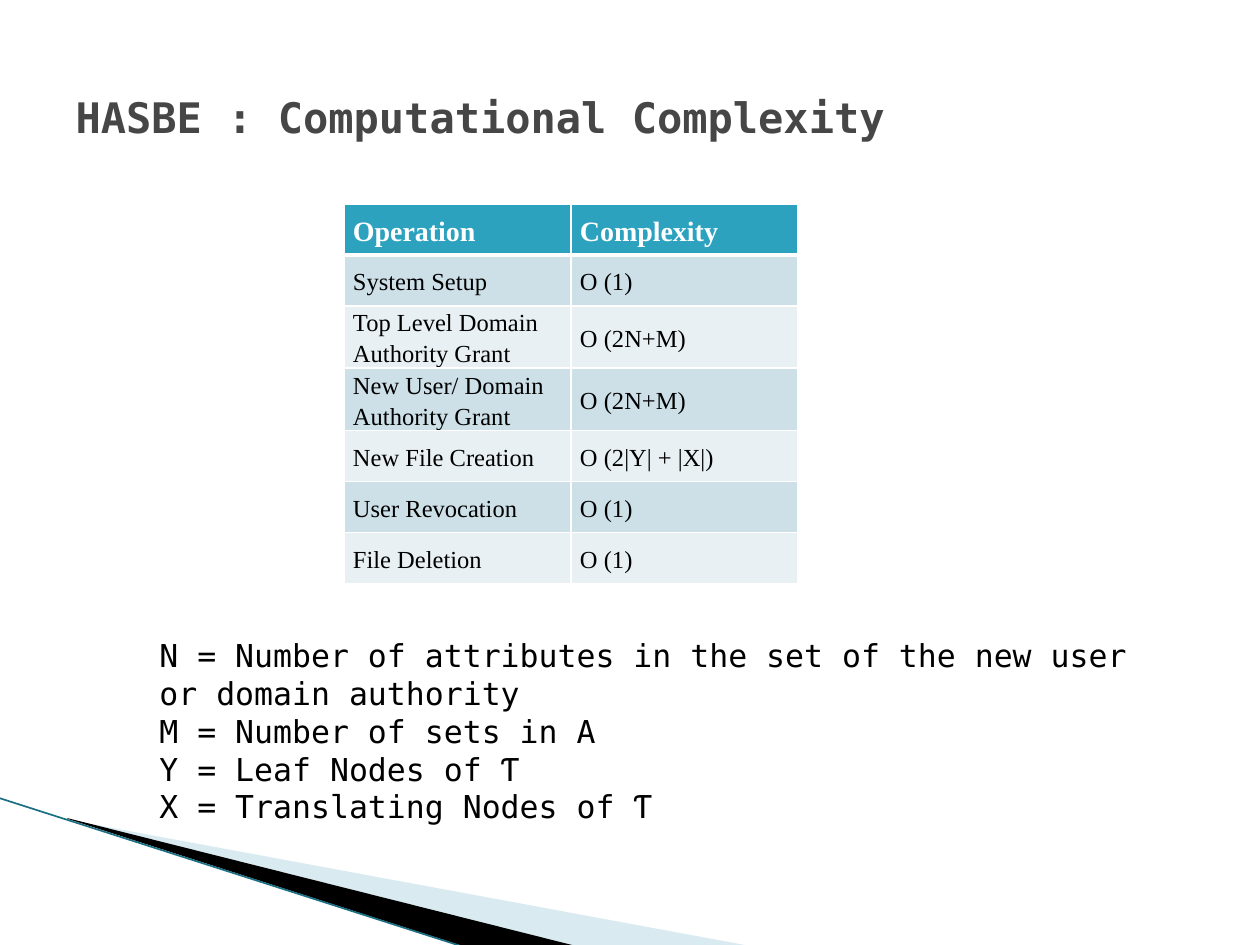
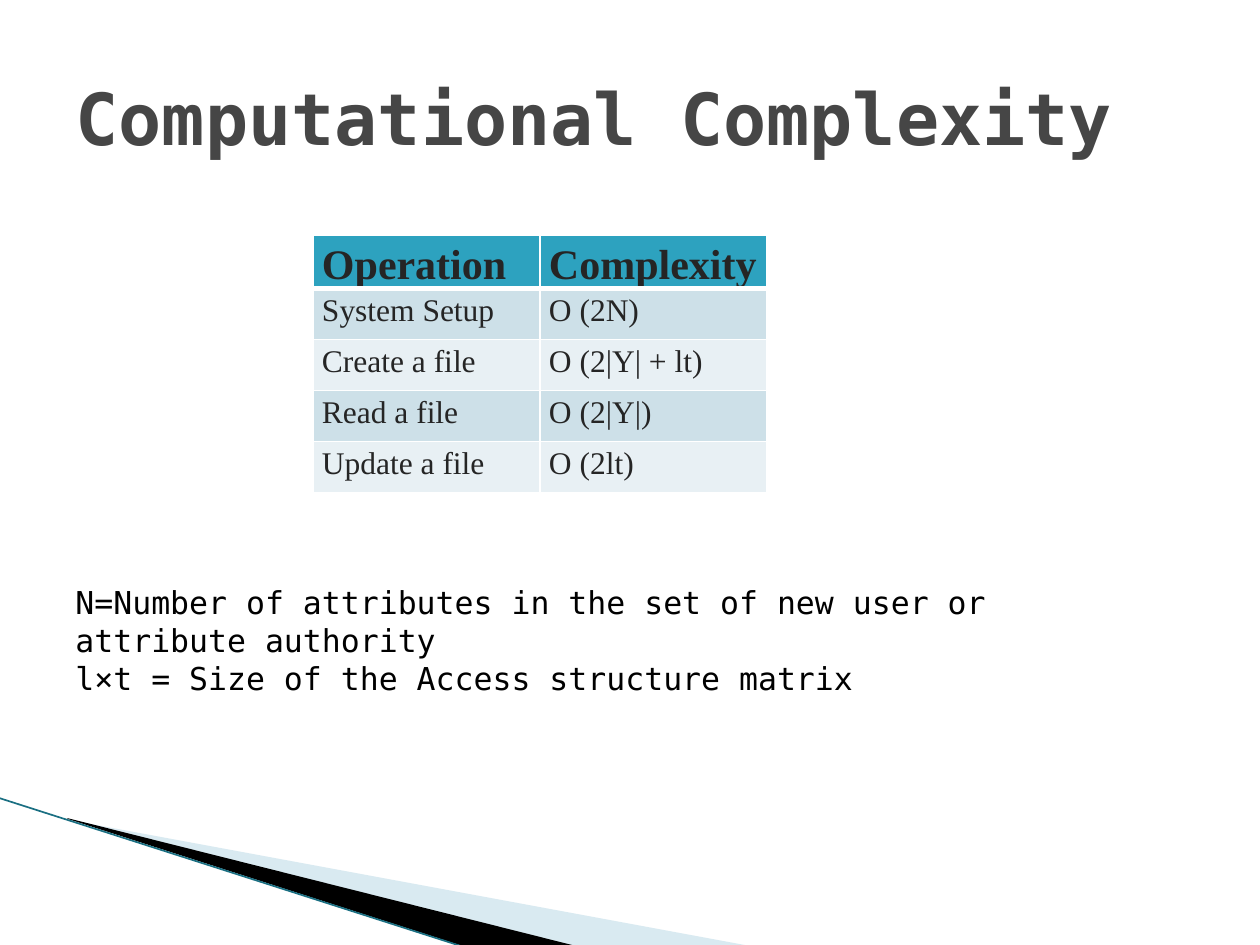
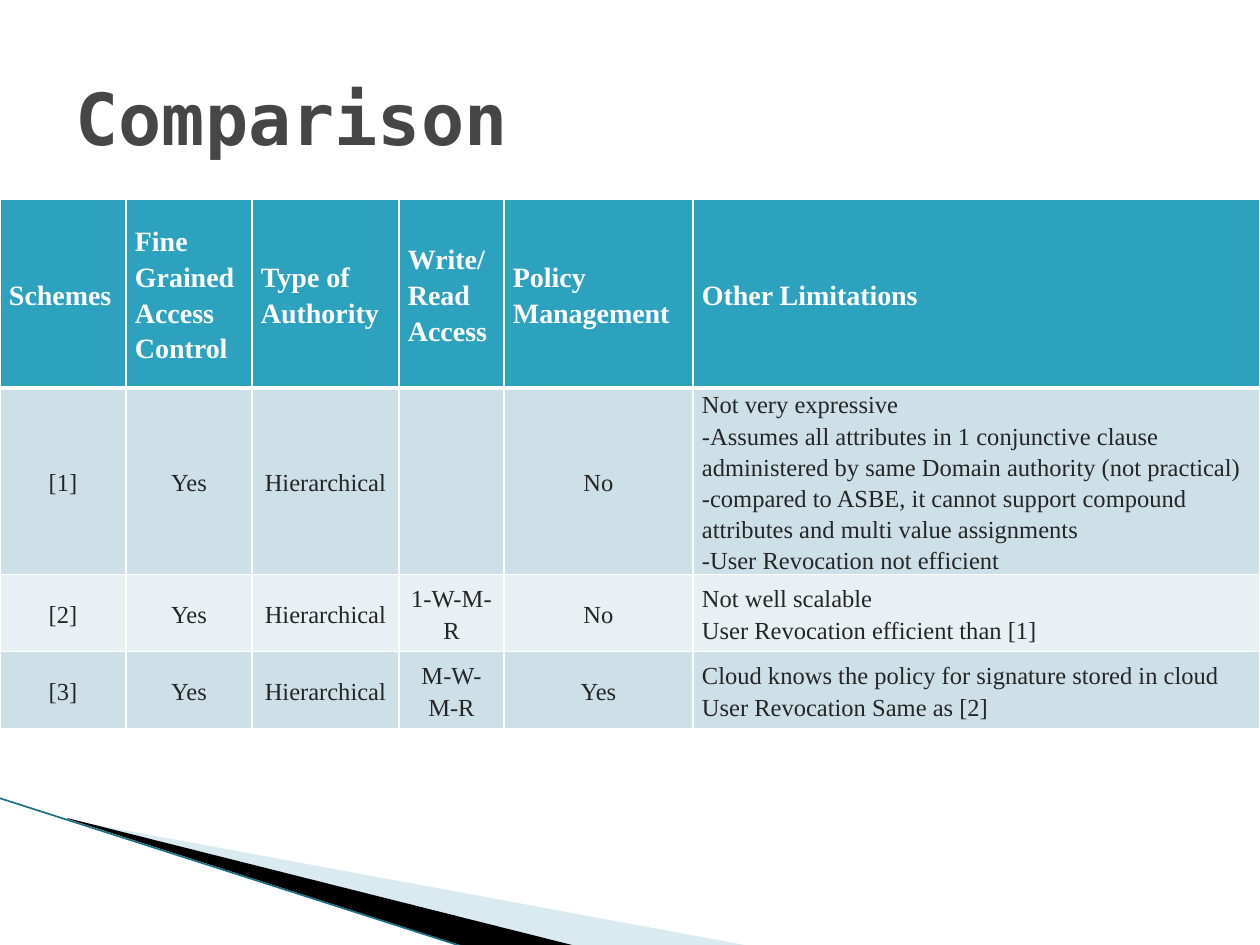
import pptx
import pptx.dml.color
import pptx.enum.shapes
import pptx.enum.text
import pptx.oxml
import pptx.oxml.ns
import pptx.util

SCALE = pptx.util.Inches(1) / 126
MONO = "DejaVu Sans Mono"
SERIF = "Times New Roman"
BLACK = "000000"
WHITE = "FFFFFF"
GREY = "464646"
CHARCOAL = "252525"
TEAL = "2DA2BF"
DARK_TEAL = "1A6F82"
SKY = "A0CBDC"
BANDS = ["CDE0E8", "E8F0F4"]
LEFT = pptx.enum.text.PP_ALIGN.LEFT
CENTER = pptx.enum.text.PP_ALIGN.CENTER
JUSTIFY = pptx.enum.text.PP_ALIGN.JUSTIFY
TOP = pptx.enum.text.MSO_ANCHOR.TOP
MIDDLE = pptx.enum.text.MSO_ANCHOR.MIDDLE


def px(length):
    return pptx.util.Emu(round(length * SCALE))


def color(value):
    return pptx.dml.color.RGBColor.from_string(value)


def add_xml(parent, tag, **attributes):
    return pptx.oxml.ns and parent.makeelement(pptx.oxml.ns.qn(tag), attributes)


class SlideBuilder:
    def __init__(self):
        self.deck = pptx.Presentation()
        self.deck.slide_width = px(1260)
        self.deck.slide_height = px(945)
        self.layout = self.deck.slide_layouts[5]
        self.slide = None

    def start(self, title, size):
        self.slide = self.deck.slides.add_slide(self.layout)
        box = self.slide.shapes.title
        box.left, box.top, box.width, box.height = px(63), px(38), px(1134), px(158)
        frame = box.text_frame
        frame.text = title
        frame.auto_size = pptx.enum.text.MSO_AUTO_SIZE.NONE
        frame.vertical_anchor = MIDDLE
        self.format(frame, MONO, size, GREY, bold=True)

    def format(self, frame, font, size, tint, bold=False, align=LEFT, spacing=None):
        for para in frame.paragraphs:
            para.alignment = align
            para.line_spacing = spacing
            for span in para.runs:
                span.font.name = font
                span.font.size = pptx.util.Pt(size)
                span.font.bold = bold
                span.font.color.rgb = color(tint)

    def share(self, shape):
        self.layout.shapes.element.append(shape.element)

    def wedge(self, points, tint, opacity=100):
        builder = self.slide.shapes.build_freeform(*points[0], scale=SCALE)
        builder.add_line_segments(points[1:])
        shape = builder.convert_to_shape()
        shape.shadow.inherit = False
        shape.fill.solid()
        shape.fill.fore_color.rgb = color(tint)
        shape.line.fill.background()
        if opacity < 100:
            fill = shape.element.spPr.find(pptx.oxml.ns.qn("a:solidFill"))
            fill[0].append(add_xml(fill, "a:alpha", val=str(opacity * 1000)))
        self.share(shape)

    def edge(self, start, end, tint, width):
        line = self.slide.shapes.add_connector(
            pptx.enum.shapes.MSO_CONNECTOR.STRAIGHT, *map(px, start + end))
        line.line.color.rgb = color(tint)
        line.line.width = pptx.util.Pt(width)
        properties = line.element.spPr
        properties.append(add_xml(properties, "a:effectLst"))
        self.share(line)

    def note(self, left, top, width, height, lines):
        box = self.slide.shapes.add_textbox(px(left), px(top), px(width), px(height))
        frame = box.text_frame
        frame.word_wrap = True
        frame.text = "\n".join(lines)
        self.format(frame, MONO, 18, BLACK)

    def border(self, cell, row):
        properties = cell._tc.get_or_add_tcPr()
        heavy = {0: "B", 1: "T"}.get(row)
        for index, side in enumerate("LRTB"):
            width = pptx.util.Pt(3 if side == heavy else 1)
            line = add_xml(properties, "a:ln" + side, w=str(width))
            fill = add_xml(line, "a:solidFill")
            fill.append(add_xml(fill, "a:srgbClr", val=WHITE))
            line.append(fill)
            properties.insert(index, line)

    def table(self, left, top, widths, heights, rows, head, body, aligns, anchor=MIDDLE,
              head_align=LEFT):
        frame = self.slide.shapes.add_table(
            len(rows), len(widths), px(left), px(top), px(sum(widths)), px(sum(heights)))
        table = frame.table
        for column, width in zip(table.columns, widths):
            column.width = px(width)
        for row, height in zip(table.rows, heights):
            row.height = px(height)
        for i, texts in enumerate(rows):
            size, tint = body if i else head
            for j, text in enumerate(texts):
                cell = table.cell(i, j)
                cell.margin_left = cell.margin_right = px(9)
                cell.margin_top = cell.margin_bottom = 0
                cell.vertical_anchor = anchor
                cell.fill.solid()
                cell.fill.fore_color.rgb = color(BANDS[(i - 1) % 2] if i else TEAL)
                self.border(cell, i)
                cell.text_frame.text = text
                self.format(cell.text_frame, SERIF, size, tint, bold=i == 0,
                            align=aligns[j] if i else head_align, spacing=1.15)


def main():
    builder = SlideBuilder()

    builder.start("HASBE : Computational Complexity", 24)
    builder.wedge([(69, 820), (750, 946), (575, 946), (69, 819)], SKY, opacity=40)
    builder.wedge([(67, 818), (576, 946), (469, 948), (68, 819)], BLACK)
    builder.edge((-1, 798), (467, 948), DARK_TEAL, 0.95)
    operations = [
        ("Operation", "Complexity"),
        ("System Setup", "O (1)"),
        ("Top Level Domain Authority Grant", "O (2N+M)"),
        ("New User/ Domain Authority Grant", "O (2N+M)"),
        ("New File Creation", "O (2|Y| + |X|)"),
        ("User Revocation", "O (1)"),
        ("File Deletion", "O (1)"),
    ]
    builder.table(344, 204, [227] * 2, [51] * len(operations), operations,
                  (16, WHITE), (14, BLACK), [LEFT] * 2)
    builder.note(147, 630, 1040, 242, [
        "N = Number of attributes in the set of the new user or domain authority",
        "M = Number of sets in A",
        "Y = Leaf Nodes of Ƭ",
        "X = Translating Nodes of Ƭ",
    ])

    builder.start("Computational Complexity", 41)
    operations = [
        ("Operation", "Complexity"),
        ("System Setup", "O (2N)"),
        ("Create a file", "O (2|Y| + lt)"),
        ("Read a file", "O (2|Y|)"),
        ("Update a file", "O (2lt)"),
    ]
    builder.table(313, 235, [227] * 2, [51] * len(operations), operations,
                  (24, CHARCOAL), (18, CHARCOAL), [JUSTIFY] * 2, TOP, JUSTIFY)
    builder.note(63, 577, 1079, 127, [
        "N=Number of attributes in the set of new user or attribute authority",
        "l×t = Size of the Access structure matrix",
    ])

    builder.start("Comparison", 41)
    schemes = [
        ("Schemes", "Fine Grained Access Control", "Type of Authority",
         "Write/Read Access", "Policy Management", "Other Limitations"),
        ("[1]", "Yes", "Hierarchical", "", "No",
         "Not very expressive\n"
         "-Assumes all attributes in 1 conjunctive clause administered by same "
         "Domain authority (not practical)\n"
         "-compared to ASBE, it cannot support compound attributes and multi "
         "value assignments\n"
         "-User Revocation not efficient"),
        ("[2]", "Yes", "Hierarchical", "1-W-M-R", "No",
         "Not well scalable\nUser Revocation efficient than [1]"),
        ("[3]", "Yes", "Hierarchical", "M-W-M-R", "Yes",
         "Cloud knows the policy for signature stored in cloud\n"
         "User Revocation Same as [2]"),
    ]
    builder.table(0, 199, [126, 126, 147, 105, 189, 567], [189, 105, 77, 77], schemes,
                  (16, WHITE), (14, CHARCOAL), [CENTER] * 5 + [LEFT])

    builder.deck.save("out.pptx")


if __name__ == "__main__":
    main()
